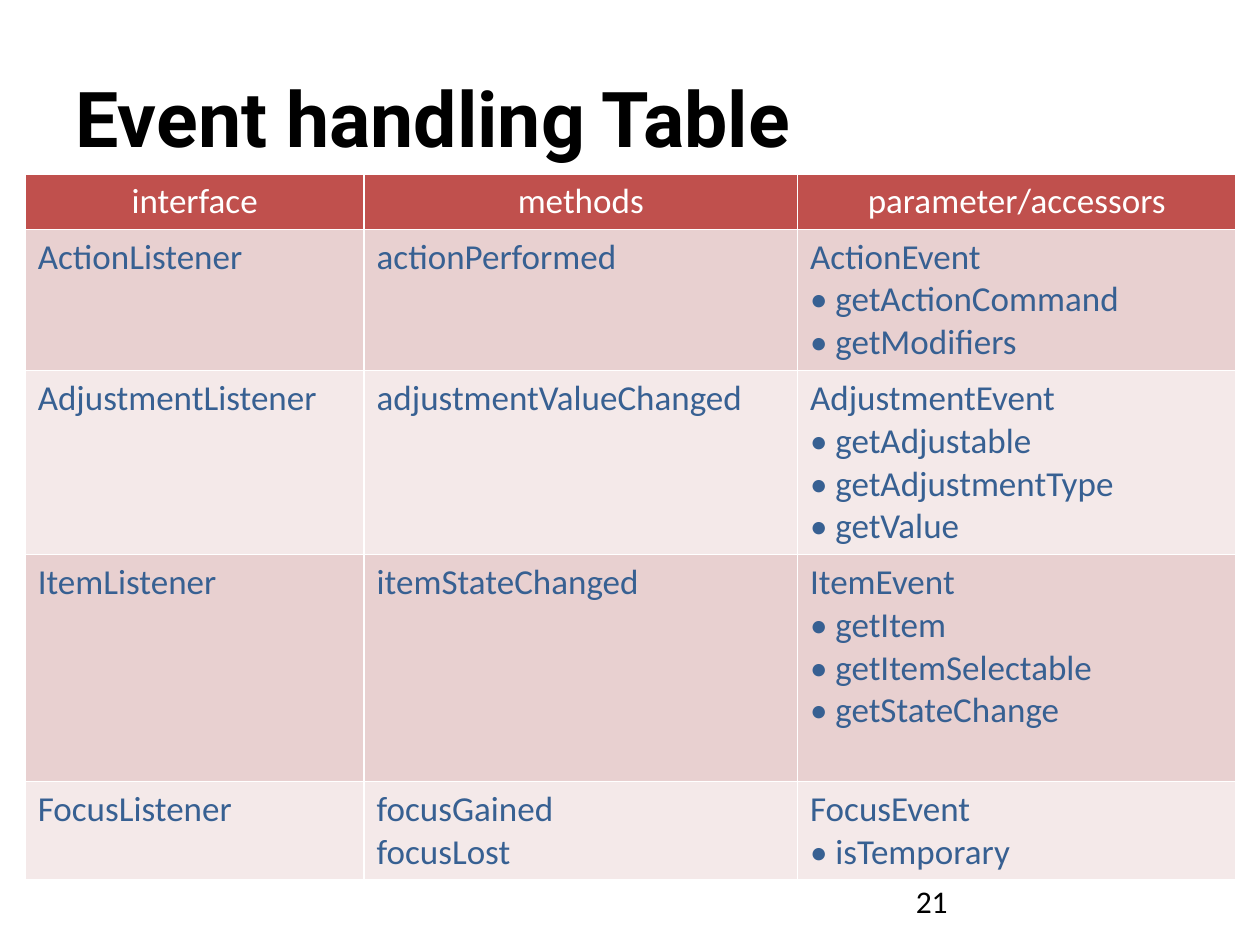
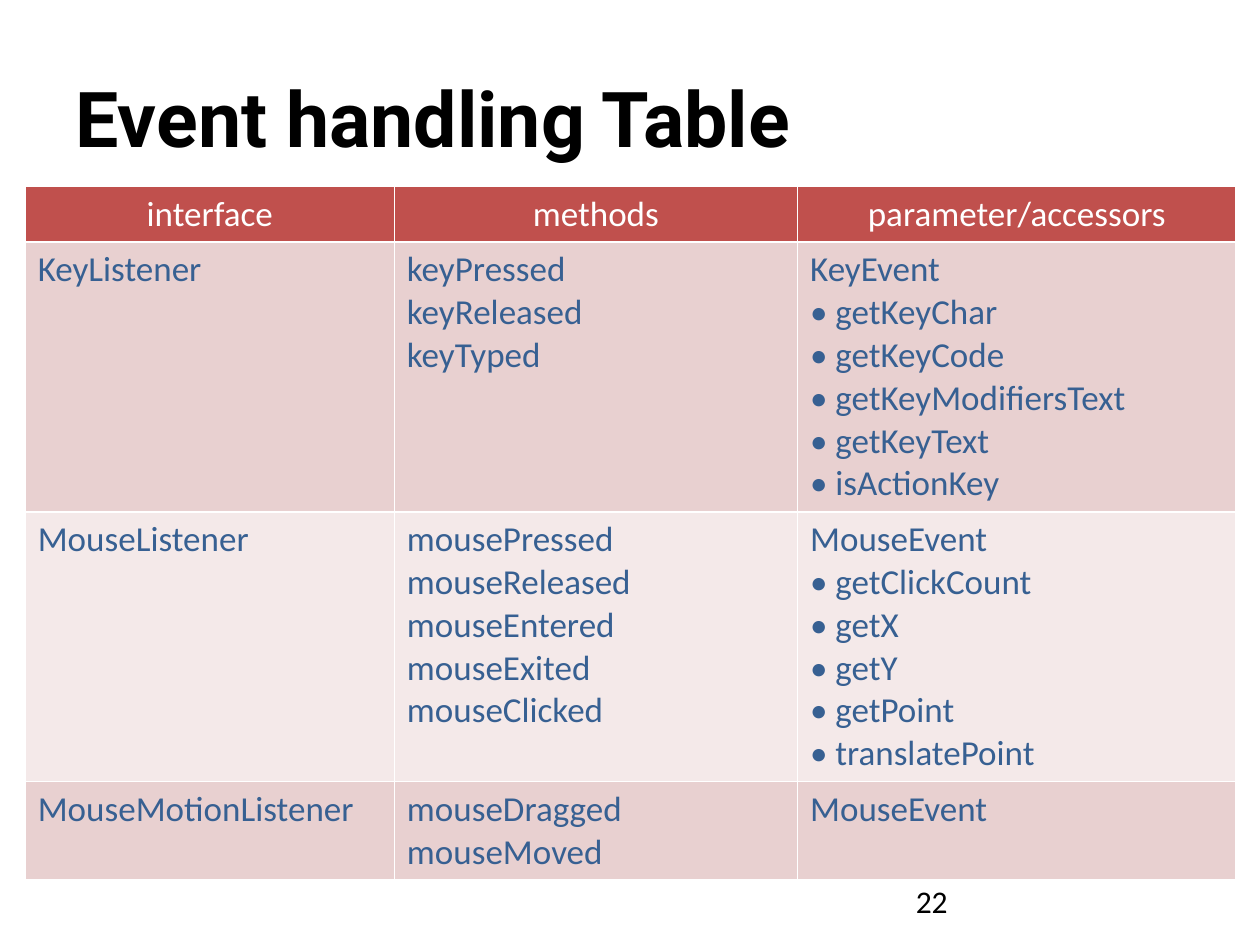
import pptx
import pptx.util
import pptx.dml.color
import pptx.enum.text
import pptx.oxml
import pptx.oxml.ns

TITLE = "Event handling Table"
HEADS = ("interface", "methods", "parameter/accessors")

# Each row: interface, methods, event, accessors, height in text lines
PAGES = [
    {"num": 21, "top": 1.38, "cols": (2.69, 3.44, 3.48), "rows": [
        ("ActionListener", ["actionPerformed"], "ActionEvent",
         ["getActionCommand", "getModifiers"], 3),
        ("AdjustmentListener", ["adjustmentValueChanged"], "AdjustmentEvent",
         ["getAdjustable", "getAdjustmentType", "getValue"], 4),
        ("ItemListener", ["itemStateChanged"], "ItemEvent",
         ["getItem", "getItemSelectable", "getStateChange"], 5),
        ("FocusListener", ["focusGained", "focusLost"], "FocusEvent",
         ["isTemporary"], 2),
    ]},
    {"num": 22, "top": 1.48, "cols": (2.93, 3.2, 3.48), "rows": [
        ("KeyListener", ["keyPressed", "keyReleased", "keyTyped"], "KeyEvent",
         ["getKeyChar", "getKeyCode", "getKeyModifiersText", "getKeyText",
          "isActionKey"], 6),
        ("MouseListener",
         ["mousePressed", "mouseReleased", "mouseEntered", "mouseExited",
          "mouseClicked"], "MouseEvent",
         ["getClickCount", "getX", "getY", "getPoint", "translatePoint"], 6),
        ("MouseMotionListener", ["mouseDragged", "mouseMoved"], "MouseEvent",
         [], 2),
    ]},
]

BLACK, WHITE, BLUE = "000000", "FFFFFF", "376092"
RED, BANDS = "C0504D", ("E8D0D0", "F4E9E9")
LEFT, LINE, PAD, INDENT = 0.2, 0.34, 0.1, 0.2

inch = pptx.util.Inches
ALIGN = pptx.enum.text.PP_ALIGN


def rgb(code):
    return pptx.dml.color.RGBColor.from_string(code)


def style(para, size, color, face="Calibri", bold=False, align=ALIGN.LEFT):
    para.alignment = align
    for run in para.runs:
        font = run.font
        font.name, font.size, font.bold = face, pptx.util.Pt(size), bold
        font.color.rgb = rgb(color)


def add_xml(parent, body):
    tag, rest = body.split(" ", 1)
    ns = pptx.oxml.ns.nsdecls("a")
    parent.append(pptx.oxml.parse_xml(f"<a:{tag} {ns} {rest}"))


def bullet(para):
    props = para._p.get_or_add_pPr()
    props.set("marL", str(inch(INDENT)))
    props.set("indent", str(-inch(INDENT)))
    add_xml(props, 'buFont typeface="Calibri"/>')
    add_xml(props, 'buChar char="•"/>')


def fill_cell(cell, lines, color, back, align=ALIGN.LEFT, marks=False):
    """Write the lines; with marks, bullet all but the first."""
    cell.text_frame.text = "\n".join(lines)
    for i, para in enumerate(cell.text_frame.paragraphs):
        style(para, 20, color, align=align)
        if marks and i:
            bullet(para)
    props = cell._tc.get_or_add_tcPr()
    for side in ("lnL", "lnR", "lnT", "lnB"):
        add_xml(props, f'{side} w="12700"><a:solidFill><a:srgbClr val="{WHITE}"/>'
                       f'</a:solidFill></a:{side}>')
    cell.fill.solid()
    cell.fill.fore_color.rgb = rgb(back)


def add_grid(slide, top, cols, rows):
    highs = [LINE * n + PAD for n in [1] + [row[-1] for row in rows]]
    table = slide.shapes.add_table(
        len(highs), len(cols), inch(LEFT), inch(top),
        inch(sum(cols)), inch(sum(highs))).table
    for col, wide in zip(table.columns, cols):
        col.width = inch(wide)
    for row, high in zip(table.rows, highs):
        row.height = inch(high)
    for c, head in enumerate(HEADS):
        fill_cell(table.cell(0, c), [head], WHITE, RED, ALIGN.CENTER)
    for r, (face, calls, event, gets, _) in enumerate(rows):
        for c, lines in enumerate(([face], calls, [event] + gets)):
            fill_cell(table.cell(r + 1, c), lines, BLUE, BANDS[r % 2],
                      marks=c == 2)


def add_page(deck, num, top, cols, rows):
    slide = deck.slides.add_slide(deck.slide_layouts[5])
    title = slide.shapes.title
    title.left, title.top = inch(0.5), inch(0.3)
    title.width, title.height = inch(9), inch(1.25)
    title.text_frame.text = TITLE
    title.text_frame.vertical_anchor = pptx.enum.text.MSO_ANCHOR.MIDDLE
    style(title.text_frame.paragraphs[0], 44, BLACK, "Roboto", True)
    add_grid(slide, top, cols, rows)
    foot = slide.shapes.add_textbox(inch(7.17), inch(6.95), inch(2.33), inch(0.4))
    foot.text_frame.word_wrap = True
    foot.text_frame.text = str(num)
    style(foot.text_frame.paragraphs[0], 18, BLACK)


def main():
    deck = pptx.Presentation()
    deck.slide_width, deck.slide_height = inch(10), inch(7.5)
    for page in PAGES:
        add_page(deck, **page)
    deck.save("out.pptx")


if __name__ == "__main__":
    main()
